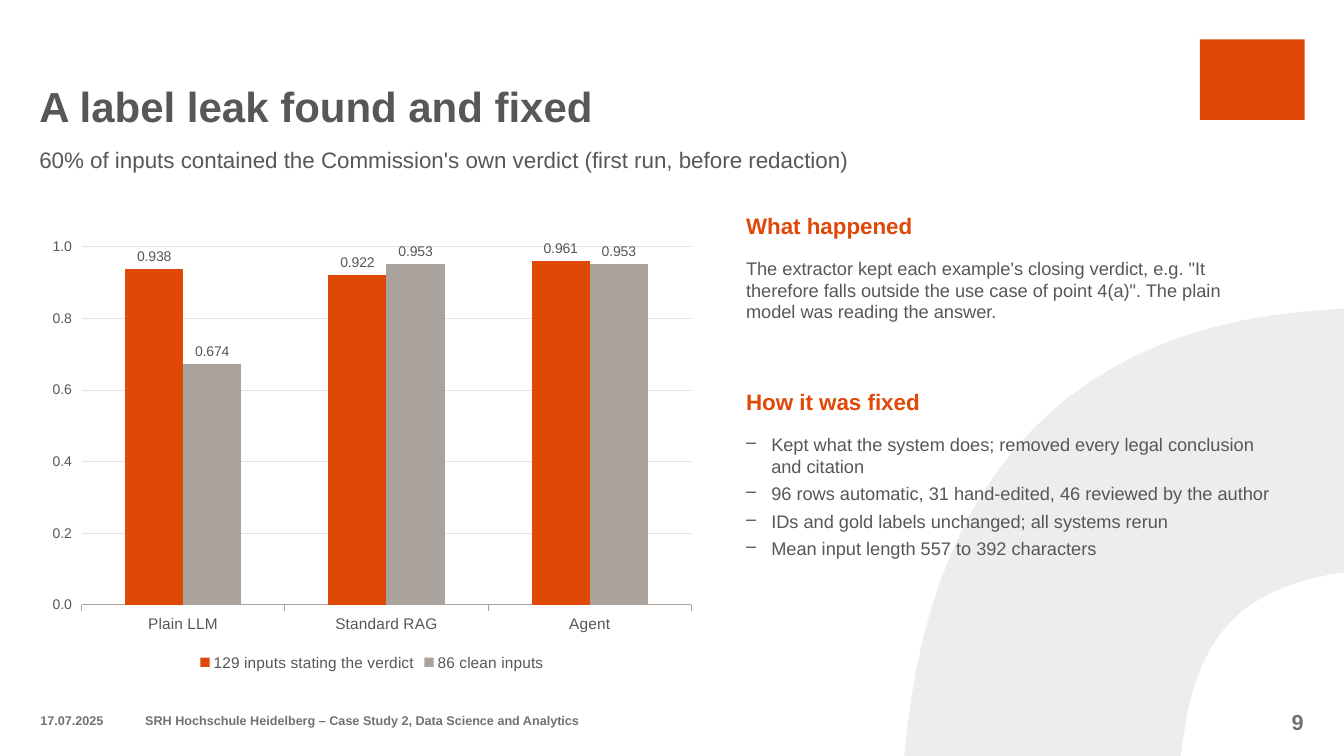
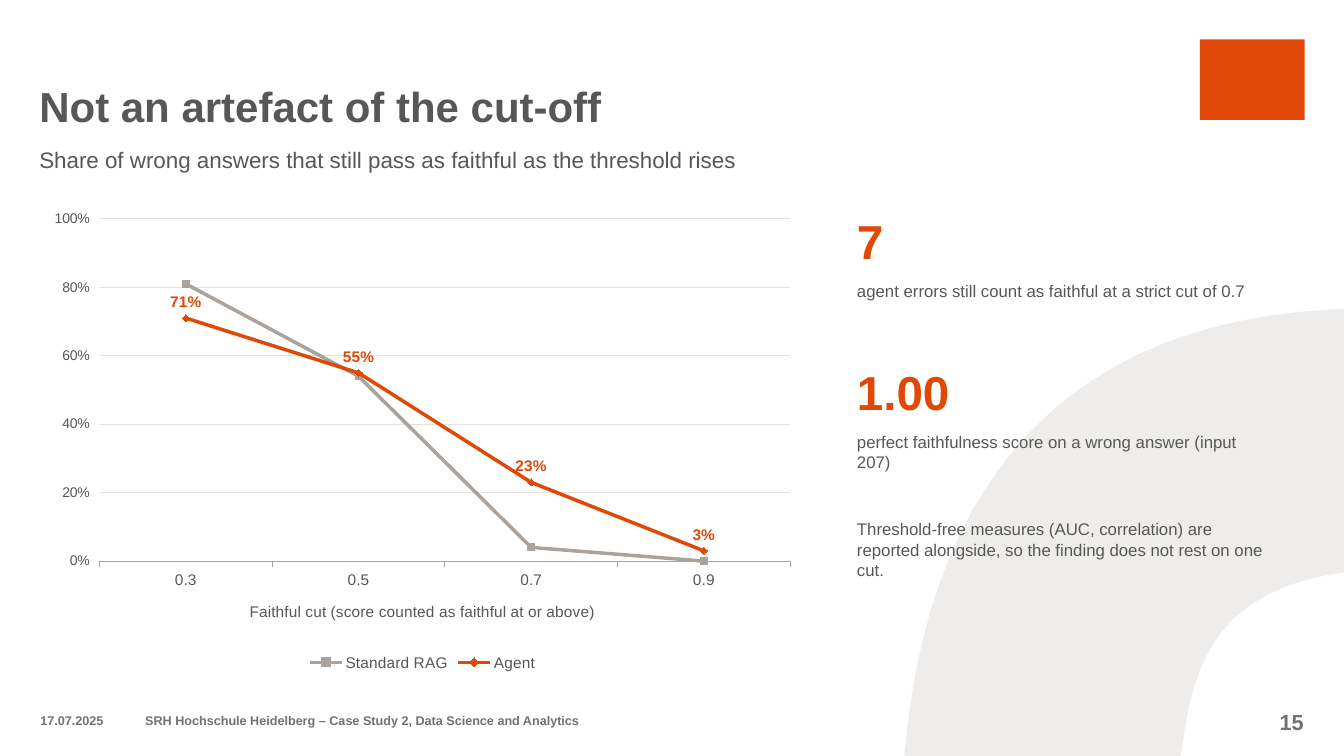
from dataclasses import dataclass

from lxml.etree import SubElement
from pptx import Presentation
from pptx.chart.chart import Chart
from pptx.chart.data import CategoryChartData
from pptx.dml.color import RGBColor
from pptx.enum.chart import XL_CHART_TYPE, XL_LABEL_POSITION, XL_LEGEND_POSITION, XL_MARKER_STYLE
from pptx.enum.shapes import MSO_SHAPE
from pptx.enum.text import MSO_ANCHOR, PP_ALIGN
from pptx.oxml.ns import qn
from pptx.presentation import Presentation as Deck
from pptx.shapes.autoshape import Shape
from pptx.slide import Slide
from pptx.util import Inches, Pt

COLORS = {
    "accent": "DF4807",
    "text": "575756",
    "footer": "6D7373",
    "arch": "EEEDEB",
    "muted": "AAA39D",
    "grid": "E4E1DE",
}
FONT = "Arial"
LEFT = 0.39
CURVE_STEPS = 24
ARCH_OUTLINE = [
    (13.33, 3.06),
    (13.33, 5.68),
    (13.19, 5.7),
    (12.24, 5.88, 11.87, 6.38, 11.74, 7.3),
    (11.71, 7.5),
    (8.97, 7.5),
    (9, 7.21),
    (9.29, 4.73, 10.62, 3.2, 13.22, 3.07),
]


@dataclass(frozen=True)
class Box:
    """Position and size in inches."""

    left: float
    top: float
    width: float
    height: float


@dataclass(frozen=True)
class Series:
    """One chart series and the colour it is drawn in."""

    name: str
    values: tuple[float, ...]
    color: str


@dataclass(frozen=True)
class Block:
    """A text block in the right-hand column."""

    top: float
    height: float
    lines: tuple[str, ...]
    size: float
    color: str = "text"
    bold: bool = False
    bullet: str = ""


def rgb(name: str) -> RGBColor:
    """Look up a palette colour."""
    return RGBColor.from_string(COLORS[name])


def add_text(
    slide: Slide,
    box: Box,
    *lines: str,
    size: float,
    color: str = "text",
    bold: bool = False,
    align: PP_ALIGN = PP_ALIGN.LEFT,
    anchor: MSO_ANCHOR = MSO_ANCHOR.TOP,
    space_after: float = 0,
    bullet: str = "",
) -> None:
    """Add a text box with one paragraph per line."""
    shape = slide.shapes.add_textbox(
        Inches(box.left), Inches(box.top), Inches(box.width), Inches(box.height)
    )
    frame = shape.text_frame
    frame.word_wrap = True
    frame.vertical_anchor = anchor
    frame.margin_left = frame.margin_right = frame.margin_top = frame.margin_bottom = 0
    for index, line in enumerate(lines):
        paragraph = frame.add_paragraph() if index else frame.paragraphs[0]
        paragraph.alignment = align
        paragraph.space_after = Pt(space_after)
        if bullet:
            properties = paragraph._p.get_or_add_pPr()
            properties.set("marL", str(Inches(0.25)))
            properties.set("indent", str(Inches(-0.25)))
            SubElement(properties, qn("a:buChar")).set("char", bullet)
        run = paragraph.add_run()
        run.text = line
        style_font(run.font, size, color, bold)


def style_font(font, size: float, color: str = "text", bold: bool = False) -> None:
    """Apply the deck font with a size, colour and weight."""
    font.name = FONT
    font.size = Pt(size)
    font.bold = bold
    font.color.rgb = rgb(color)


def fill_plain(shape: Shape, color: str) -> None:
    """Give a shape a flat fill without line or shadow."""
    shape.shadow.inherit = False
    shape.fill.solid()
    shape.fill.fore_color.rgb = rgb(color)
    shape.line.fill.background()


def flatten_outline(outline: list[tuple[float, ...]]) -> list[tuple[float, float]]:
    """Turn line points and cubic curves into a list of points."""
    points = [outline[0]]
    for segment in outline[1:]:
        if len(segment) == 2:
            points.append(segment)
            continue
        x0, y0 = points[-1]
        x1, y1, x2, y2, x3, y3 = segment
        for step in range(1, CURVE_STEPS + 1):
            t = step / CURVE_STEPS
            u = 1 - t
            a, b, c, d = u**3, 3 * u * u * t, 3 * u * t * t, t**3
            points.append((a * x0 + b * x1 + c * x2 + d * x3, a * y0 + b * y1 + c * y2 + d * y3))
    return points


def add_arch(slide: Slide) -> None:
    """Draw the pale arch in the lower right corner."""
    points = [(Inches(x), Inches(y)) for x, y in flatten_outline(ARCH_OUTLINE)]
    builder = slide.shapes.build_freeform(*points[0])
    builder.add_line_segments(points[1:], close=True)
    fill_plain(builder.convert_to_shape(), "arch")


def add_base_slide(presentation: Deck, title: str, subtitle: str, number: int) -> Slide:
    """Add a slide with the shared decoration, heading and footer."""
    slide = presentation.slides.add_slide(presentation.slide_layouts[6])
    mark = slide.shapes.add_shape(
        MSO_SHAPE.RECTANGLE, Inches(11.9), Inches(0.39), Inches(1.04), Inches(0.8)
    )
    fill_plain(mark, "accent")
    add_arch(slide)
    add_text(
        slide, Box(LEFT, 0.39, 10.01, 0.91), title, size=30, bold=True, anchor=MSO_ANCHOR.BOTTOM
    )
    add_text(slide, Box(LEFT, 1.45, 12, 0.4), subtitle, size=16)
    footer_parts = [
        (Box(0.4, 6.95, 0.96, 0.4), "17.07.2025", 9, PP_ALIGN.LEFT),
        (
            Box(1.44, 6.95, 7.1, 0.4),
            "SRH Hochschule Heidelberg – Case Study 2, Data Science and Analytics",
            9,
            PP_ALIGN.LEFT,
        ),
        (Box(12.19, 6.96, 0.74, 0.4), str(number), 15.5, PP_ALIGN.RIGHT),
    ]
    for box, text, size, align in footer_parts:
        add_text(
            slide, box, text, size=size, color="footer", bold=True,
            align=align, anchor=MSO_ANCHOR.MIDDLE,
        )
    return slide


def add_chart(
    slide: Slide,
    chart_type: XL_CHART_TYPE,
    width: float,
    categories: tuple[str, ...],
    series_list: tuple[Series, ...],
    maximum: float,
    axis_format: str,
) -> Chart:
    """Add a chart with the shared axis, grid and legend style."""
    data = CategoryChartData()
    data.categories = categories
    for series in series_list:
        data.add_series(series.name, series.values)
    chart = slide.shapes.add_chart(
        chart_type, Inches(LEFT), Inches(2), Inches(width), Inches(4.7), data
    ).chart
    chart.has_title = False
    style_font(chart.font, 11)
    chart.has_legend = True
    chart.legend.position = XL_LEGEND_POSITION.BOTTOM
    chart.legend.include_in_layout = False
    style_font(chart.legend.font, 11)
    chart.plots[0].vary_by_categories = False

    category_axis, value_axis = chart.category_axis, chart.value_axis
    style_font(category_axis.tick_labels.font, 11)
    style_font(value_axis.tick_labels.font, 10)
    value_axis.tick_labels.number_format = axis_format
    value_axis.tick_labels.number_format_is_linked = False
    value_axis.minimum_scale = 0
    value_axis.maximum_scale = maximum
    value_axis.major_unit = 0.2
    value_axis.has_major_gridlines = True
    value_axis.format.line.fill.background()
    for line, color in (
        (category_axis.format.line, "muted"),
        (value_axis.major_gridlines.format.line, "grid"),
    ):
        line.color.rgb = rgb(color)
        line.width = Pt(0.75)
    return chart


def label_series(
    series, position: XL_LABEL_POSITION, number_format: str, size: float,
    color: str = "text", bold: bool = False,
) -> None:
    """Show the values of a series as data labels."""
    labels = series.data_labels
    labels.show_value = True
    labels.position = position
    labels.number_format = number_format
    labels.number_format_is_linked = False
    style_font(labels.font, size, color, bold)


def add_blocks(slide: Slide, left: float, width: float, blocks: list[Block]) -> None:
    """Draw the text blocks of the right-hand column."""
    for block in blocks:
        add_text(
            slide, Box(left, block.top, width, block.height), *block.lines, size=block.size,
            color=block.color, bold=block.bold, bullet=block.bullet, space_after=4,
        )


def build_leak_slide(presentation: Deck) -> None:
    """Build the slide about the label leak."""
    slide = add_base_slide(
        presentation,
        "A label leak found and fixed",
        "60% of inputs contained the Commission's own verdict (first run, before redaction)",
        9,
    )
    series_list = (
        Series("129 inputs stating the verdict", (0.938, 0.922, 0.961), "accent"),
        Series("86 clean inputs", (0.674, 0.953, 0.953), "muted"),
    )
    chart = add_chart(
        slide, XL_CHART_TYPE.COLUMN_CLUSTERED, 6.6,
        ("Plain LLM", "Standard RAG", "Agent"), series_list, 1.1, "0.0",
    )
    chart.plots[0].gap_width = 150
    for column, series in zip(chart.plots[0].series, series_list):
        column.format.fill.solid()
        column.format.fill.fore_color.rgb = rgb(series.color)
        label_series(column, XL_LABEL_POSITION.OUTSIDE_END, "0.000", 10)
    explanation = (
        "The extractor kept each example's closing verdict, e.g. \"It therefore falls outside "
        "the use case of point 4(a)\". The plain model was reading the answer."
    )
    fixes = (
        "Kept what the system does; removed every legal conclusion and citation",
        "96 rows automatic, 31 hand-edited, 46 reviewed by the author",
        "IDs and gold labels unchanged; all systems rerun",
        "Mean input length 557 to 392 characters",
    )
    add_blocks(slide, 7.4, 5.2, [
        Block(2.1, 0.4, ("What happened",), 16, "accent", True),
        Block(2.55, 1.3, (explanation,), 13),
        Block(3.85, 0.4, ("How it was fixed",), 16, "accent", True),
        Block(4.3, 2.4, fixes, 13, bullet="–"),
    ])


def build_cutoff_slide(presentation: Deck) -> None:
    """Build the slide about the faithfulness threshold."""
    slide = add_base_slide(
        presentation,
        "Not an artefact of the cut-off",
        "Share of wrong answers that still pass as faithful as the threshold rises",
        15,
    )
    series_list = (
        Series("Standard RAG", (0.81, 0.54, 0.04, 0), "muted"),
        Series("Agent", (0.71, 0.55, 0.23, 0.03), "accent"),
    )
    chart = add_chart(
        slide, XL_CHART_TYPE.LINE_MARKERS, 7.6,
        ("0.3", "0.5", "0.7", "0.9"), series_list, 1, "0%",
    )
    title_frame = chart.category_axis.axis_title.text_frame
    title_frame.text = "Faithful cut (score counted as faithful at or above)"
    style_font(title_frame.paragraphs[0].runs[0].font, 11)
    markers = (XL_MARKER_STYLE.SQUARE, XL_MARKER_STYLE.DIAMOND)
    for line, series, marker in zip(chart.plots[0].series, series_list, markers):
        line.smooth = False
        line.format.line.color.rgb = rgb(series.color)
        line.format.line.width = Pt(2.5)
        line.marker.style = marker
        line.marker.size = 5
        line.marker.format.fill.solid()
        line.marker.format.fill.fore_color.rgb = rgb(series.color)
        line.marker.format.line.color.rgb = rgb(series.color)
    label_series(chart.plots[0].series[1], XL_LABEL_POSITION.ABOVE, "0%", 11, "accent", True)
    note = (
        "Threshold-free measures (AUC, correlation) are reported alongside, "
        "so the finding does not rest on one cut."
    )
    figures = (
        (2.1, "7", "agent errors still count as faithful at a strict cut of 0.7"),
        (3.6, "1.00", "perfect faithfulness score on a wrong answer (input 207)"),
    )
    blocks = [Block(5.15, 1.3, (note,), 12)]
    for top, figure, caption in figures:
        blocks.append(Block(top, 0.65, (figure,), 34, "accent", True))
        blocks.append(Block(top + 0.68, 0.75, (caption,), 12))
    add_blocks(slide, 8.5, 4.1, blocks)


def main() -> None:
    """Build and save the presentation."""
    presentation = Presentation()
    presentation.slide_width = Inches(13.33)
    presentation.slide_height = Inches(7.5)
    build_leak_slide(presentation)
    build_cutoff_slide(presentation)
    presentation.save("out.pptx")


if __name__ == "__main__":
    main()
